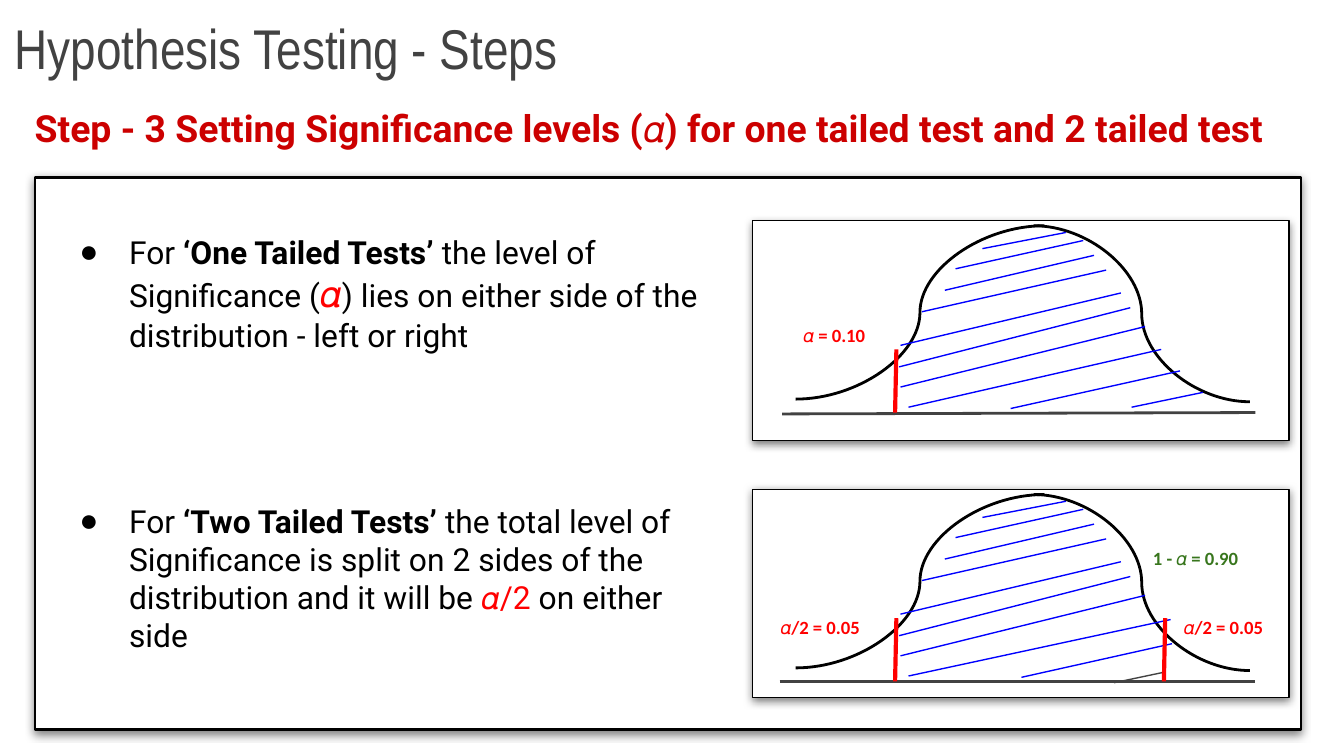
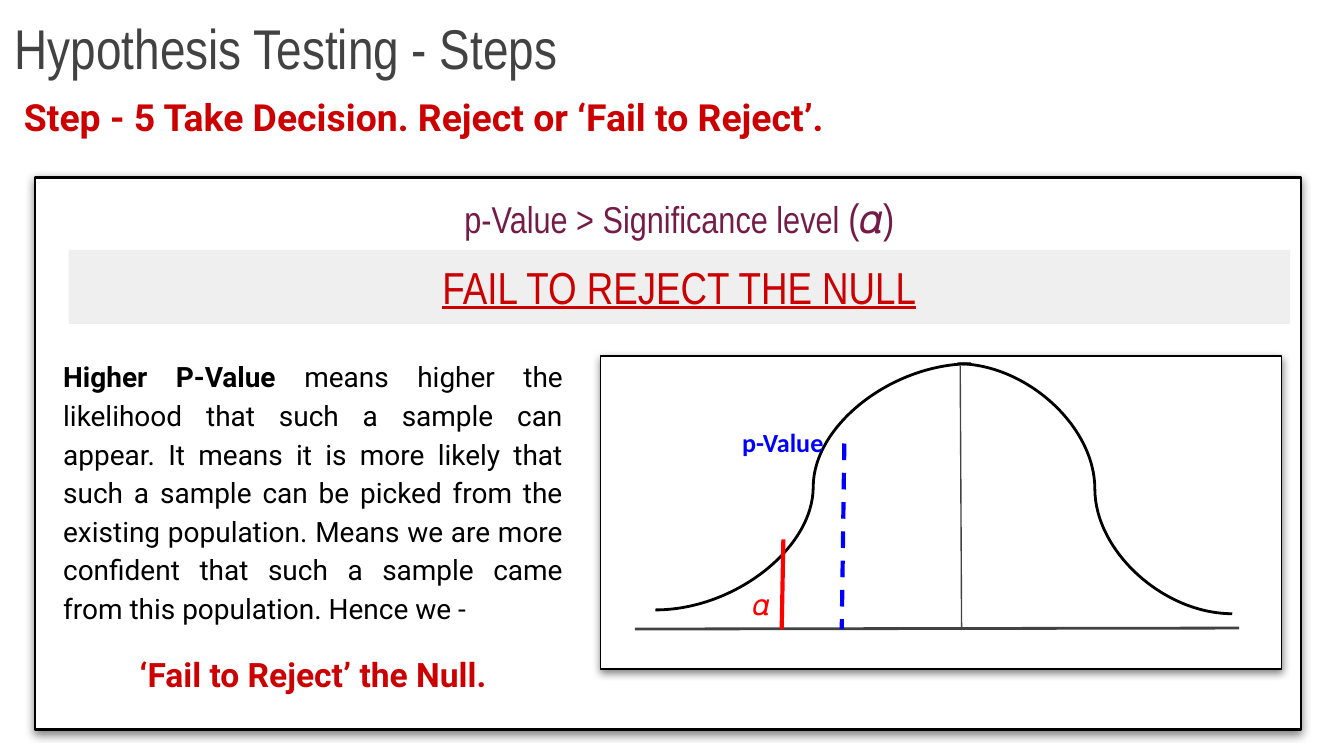
from lxml import etree
from pptx import Presentation
from pptx.dml.color import RGBColor
from pptx.enum.dml import MSO_LINE
from pptx.enum.shapes import MSO_CONNECTOR, MSO_SHAPE
from pptx.enum.text import MSO_ANCHOR, MSO_AUTO_SIZE, PP_ALIGN
from pptx.oxml.ns import qn
from pptx.util import Inches, Pt

STRAIGHT, CURVE = MSO_CONNECTOR.STRAIGHT, MSO_CONNECTOR.CURVE
TOP, BOTTOM = MSO_ANCHOR.TOP, MSO_ANCHOR.BOTTOM
LEFT, CENTER, JUSTIFY = PP_ALIGN.LEFT, PP_ALIGN.CENTER, PP_ALIGN.JUSTIFY
RECTANGLE, DASH, FIXED = MSO_SHAPE.RECTANGLE, MSO_LINE.DASH, MSO_AUTO_SIZE.NONE


class Theme:
    white, black, gray, band = "FFFFFF", "000000", "424242", "EFEFEF"
    crimson, red, blue, green, plum = "CC0000", "FF0000", "0000FF", "38761D", "741B47"
    heading, body, label = "Arial Narrow", "Roboto", "Calibri"
    title_size, verdict_size, alpha_size, step_size = 30, 24, 22, 20
    conclusion_size, list_size, prose_size = 18, 17, 15
    big_label_size, p_label_size, label_size = 16, 14, 10
    thin, medium, thick = 0.75, 1.5, 2.25


# Grid: 100 columns across the slide, square cells
CELL = Inches(0.1)
deck = Presentation()
deck.slide_width, deck.slide_height = 100 * CELL, int(56.25 * CELL)


def write(shape, runs, size, color, font=Theme.body, bold=False, align=LEFT,
          anchor=TOP, box=None, bullet=False, spacing=1.0, before=0, after=0):
    """Add one paragraph; runs are (text, color, size, bold) with None to inherit."""
    if box:
        shape.left, shape.top, shape.width, shape.height = (int(v * CELL) for v in box)
    frame = shape.text_frame
    frame.word_wrap, frame.auto_size, frame.vertical_anchor = True, FIXED, anchor
    frame.margin_left = frame.margin_right = frame.margin_top = frame.margin_bottom = CELL
    paragraph = frame.add_paragraph() if frame.text else frame.paragraphs[0]
    props = paragraph._p.get_or_add_pPr()
    props.set("marL", str(5 * CELL if bullet else 0))
    props.set("indent", str(int(-3.7 * CELL) if bullet else 0))
    if bullet:
        bullet_color = etree.SubElement(props, qn("a:buClr"))
        etree.SubElement(bullet_color, qn("a:srgbClr"), val=Theme.black)
        etree.SubElement(props, qn("a:buChar"), char="●")
    else:
        etree.SubElement(props, qn("a:buNone"))
    paragraph.alignment, paragraph.line_spacing = align, spacing
    paragraph.space_before, paragraph.space_after = Pt(before), Pt(after)
    paragraph.font.name, paragraph.font.size = font, Pt(size)
    paragraph.font.bold = bold
    paragraph.font.color.rgb = RGBColor.from_string(color)
    for text, run_color, run_size, run_bold in runs:
        run = paragraph.add_run()
        run.text = text
        if run_color:
            run.font.color.rgb = RGBColor.from_string(run_color)
        if run_size:
            run.font.size = Pt(run_size)
        if run_bold:
            run.font.bold = True
    return paragraph


def add_card(shapes, box, border):
    """White rectangle with a black border and a soft shadow below."""
    card = shapes.add_shape(RECTANGLE, *(int(v * CELL) for v in box))
    card.fill.solid()
    card.fill.fore_color.rgb = RGBColor.from_string(Theme.white)
    card.line.color.rgb = RGBColor.from_string(Theme.black)
    card.line.width = Pt(border)
    card.shadow.inherit = False
    shadow = etree.SubElement(card.element.spPr.find(qn("a:effectLst")), qn("a:outerShdw"),
                              blurRad=str(Pt(4.5)), dist=str(Pt(1.5)),
                              dir="5400000", algn="t", rotWithShape="0")
    tint = etree.SubElement(shadow, qn("a:srgbClr"), val=Theme.black)
    etree.SubElement(tint, qn("a:alpha"), val="50000")
    return card


# Shared parts: title, step heading and framed area
levels = deck.slides.add_slide(deck.slide_layouts.get_by_name("Two Content"))
decision = deck.slides.add_slide(deck.slide_layouts.get_by_name("Comparison"))
steps = [
    (levels, "Step - 3 Setting Significance levels (𝛼) for one tailed test and 2 tailed test",
     (1.6, 6.8, 97.5, 7.3)),
    (decision, "Step - 5 Take Decision. Reject or ‘Fail to Reject’.", (0.8, 6, 96.9, 7.3)),
]
for slide, step, box in steps:
    area = add_card(slide.shapes, (2.6, 13.2, 94.2, 41.1), Theme.medium)
    slide.shapes.element.insert(2, area.element)
    write(slide.shapes.title, [("Hypothesis Testing - Steps", None, None, None)],
          Theme.title_size, Theme.gray, Theme.heading, anchor=BOTTOM, box=(0.1, 0.7, 58.9, 6.3))
    heading = slide.shapes.add_textbox(0, 0, CELL, CELL)
    write(heading, [(step, None, None, None)], Theme.step_size, Theme.crimson,
          bold=True, box=box)

# Significance levels: one point per kind of test
points = [
    (1, 16.3, 13.5, [
        ("For ", None, None, None),
        ("‘One Tailed Tests’", None, None, True),
        (" the level of Significance (", None, None, None),
        ("𝛼", Theme.red, Theme.step_size, None),
        (") lies on either side of the distribution - left or right", None, None, None)]),
    (2, 36.3, 15.5, [
        ("For ", None, None, None),
        ("‘Two Tailed Tests’", None, None, True),
        (" the total level of Significance is split on 2 sides of the distribution"
         " and it will be ", None, None, None),
        ("𝛼/2", Theme.red, None, None),
        (" on either side", None, None, None)]),
]
for index, top, height, runs in points:
    write(levels.placeholders[index], runs, Theme.list_size, Theme.black,
          box=(3.6, top, 50.8, height), bullet=True)

# Decision: rule, verdict and explanation
slots = {slot.placeholder_format.idx: slot for slot in decision.placeholders}
rule, explanation, verdict = slots[1], slots[2], slots[3]
write(rule, [("p-Value > Significance level ", None, None, None),
             ("(𝛼)", None, Theme.alpha_size, None)],
      Theme.step_size, Theme.plum, Theme.heading, align=CENTER,
      box=(5.1, 13.6, 90.9, 5.5), spacing=0.95, after=12)
verdict.fill.solid()
verdict.fill.fore_color.rgb = RGBColor.from_string(Theme.band)
verdict_line = write(verdict, [("FAIL TO REJECT THE NULL", None, None, None)],
                     Theme.verdict_size, Theme.crimson, Theme.heading, align=CENTER,
                     box=(5.1, 18.6, 90.9, 5.5), spacing=0.95, after=12)
verdict_line.font.underline = True
write(explanation, [
    ("Higher P-Value", None, None, True),
    (" means higher the likelihood that such a sample can appear. It means it is more likely"
     " that such a sample can be picked from the existing population. Means we are more"
     " confident that such a sample came from this population. Hence we -", None, None, None)],
      Theme.prose_size, Theme.black, align=JUSTIFY, box=(3.7, 25.4, 39.2, 28.2), spacing=1.15)
write(explanation, [("‘Fail to Reject’ the Null.", None, None, None)],
      Theme.conclusion_size, Theme.crimson, bold=True, align=CENTER,
      spacing=1.15, before=12, after=12)
slots[4].element.getparent().remove(slots[4].element)

# Bell curves: strokes are x1, y1, x2, y2 in cells from the panel's corner
bell = [(3.2, 13.3, 21.7, 0.4), (37, 13.5, 20.9, 0.4)]
critical = (10.7, 9.6, 10.6, 14.3)
hatching = [
    (17.1, 2.1, 23.3, 0.9), (15.1, 3.6, 24.6, 1.5), (14.3, 5.2, 25.4, 2.6),
    (12.6, 6.8, 26.3, 3.7), (11, 9.3, 27.4, 5.4), (10.9, 10.9, 28.1, 6.5),
    (11, 12.4, 29.2, 7.9),
]
one_tail = [(11.6, 13.9, 30.4, 9.6), (19.2, 14, 31.8, 11.2), (28.2, 13.9, 33.5, 12.8)]
two_tail = [(11.6, 13.9, 31.1, 9.7), (20, 14, 31.2, 11.5)]

# Each panel: slide, left, top, height, scales, baseline, extra strokes, labels
panels = [
    (levels, 56, 16.4, 16.4, 1, 1, (2.2, 14.4, 37.4, 14.3),
     [(stroke, Theme.blue, Theme.thin, None) for stroke in hatching + one_tail],
     [("𝛼 = 0.10", Theme.label_size, Theme.red, (2.8, 6.7, 7.3, 2.6))]),
    (levels, 56, 36.4, 15.5, 1, 1, (2, 14.3, 37.4, 14.3),
     [(stroke, Theme.blue, Theme.thin, None) for stroke in hatching + two_tail]
     + [((26.9, 14.4, 30.7, 13.6), Theme.gray, Theme.thin, None),
        ((30.7, 9.6, 30.6, 14.3), Theme.red, Theme.thick, None)],
     [("𝛼/2 = 0.05", Theme.label_size, Theme.red, (1.1, 8.4, 8.1, 2.6)),
      ("1 - 𝛼 = 0.90", Theme.label_size, Theme.green, (28.8, 3.3, 10.1, 2.6)),
      ("𝛼/2 = 0.05", Theme.label_size, Theme.red, (31.1, 8.4, 8.1, 2.6))]),
    (decision, 44.7, 26.5, 16.4, 1.27, 1.42, (2, 14.3, 37.4, 14.25),
     [((14.27, 4.58, 14.12, 14.3), Theme.blue, Theme.thick, DASH),
      ((21.06, 0.5, 21.14, 14.3), Theme.gray, Theme.thin, None)],
     [("p-Value", Theme.p_label_size, Theme.blue, (7.5, 2.96, 7.33, 2.46)),
      ("𝛼", Theme.big_label_size, Theme.red, (8.12, 11.34, 3.08, 2.82))]),
]
for slide, left, top, height, x_scale, y_scale, baseline, extras, labels in panels:
    panel = slide.shapes.add_group_shape().shapes
    add_card(panel, (left, top, 39.9 * x_scale, height * y_scale), Theme.thin)
    strokes = [(half, Theme.black, Theme.medium, None) for half in bell]
    strokes += [(baseline, Theme.gray, Theme.medium, None),
                (critical, Theme.red, Theme.thick, None)] + extras
    for (x1, y1, x2, y2), color, width, dash in strokes:
        kind = CURVE if (x1, y1, x2, y2) in bell else STRAIGHT
        stroke = panel.add_connector(
            kind, int((left + x1 * x_scale) * CELL), int((top + y1 * y_scale) * CELL),
            int((left + x2 * x_scale) * CELL), int((top + y2 * y_scale) * CELL))
        stroke.line.color.rgb = RGBColor.from_string(color)
        stroke.line.width = Pt(width)
        if dash:
            stroke.line.dash_style = dash
        etree.SubElement(stroke.element.spPr, qn("a:effectLst"))
    for text, size, color, (x, y, w, h) in labels:
        label = panel.add_textbox(
            int((left + x * x_scale) * CELL), int((top + y * y_scale) * CELL),
            int(w * x_scale * CELL), int(h * y_scale * CELL))
        write(label, [(text, None, None, None)], size, color, Theme.label, bold=True)

deck.save("out.pptx")
